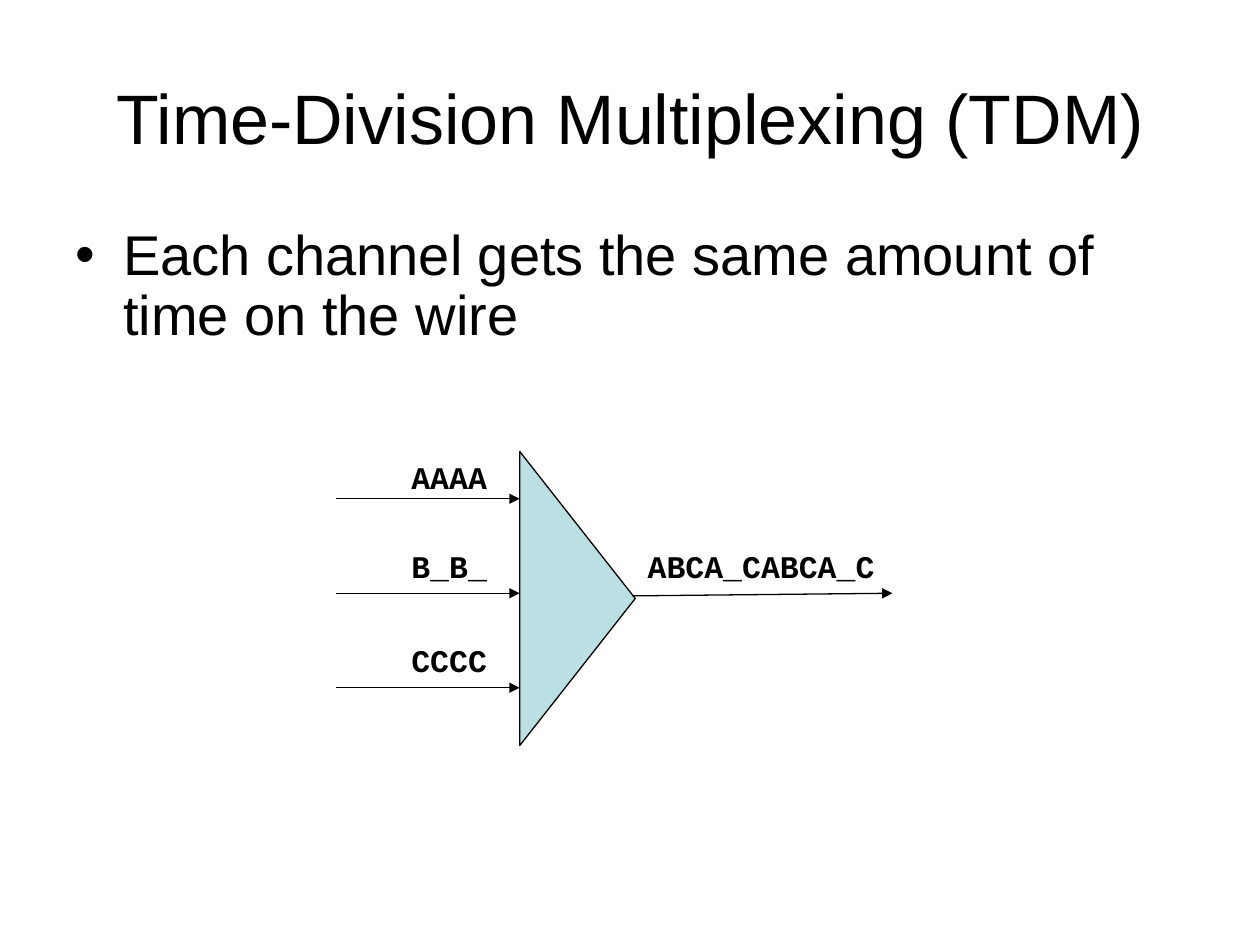
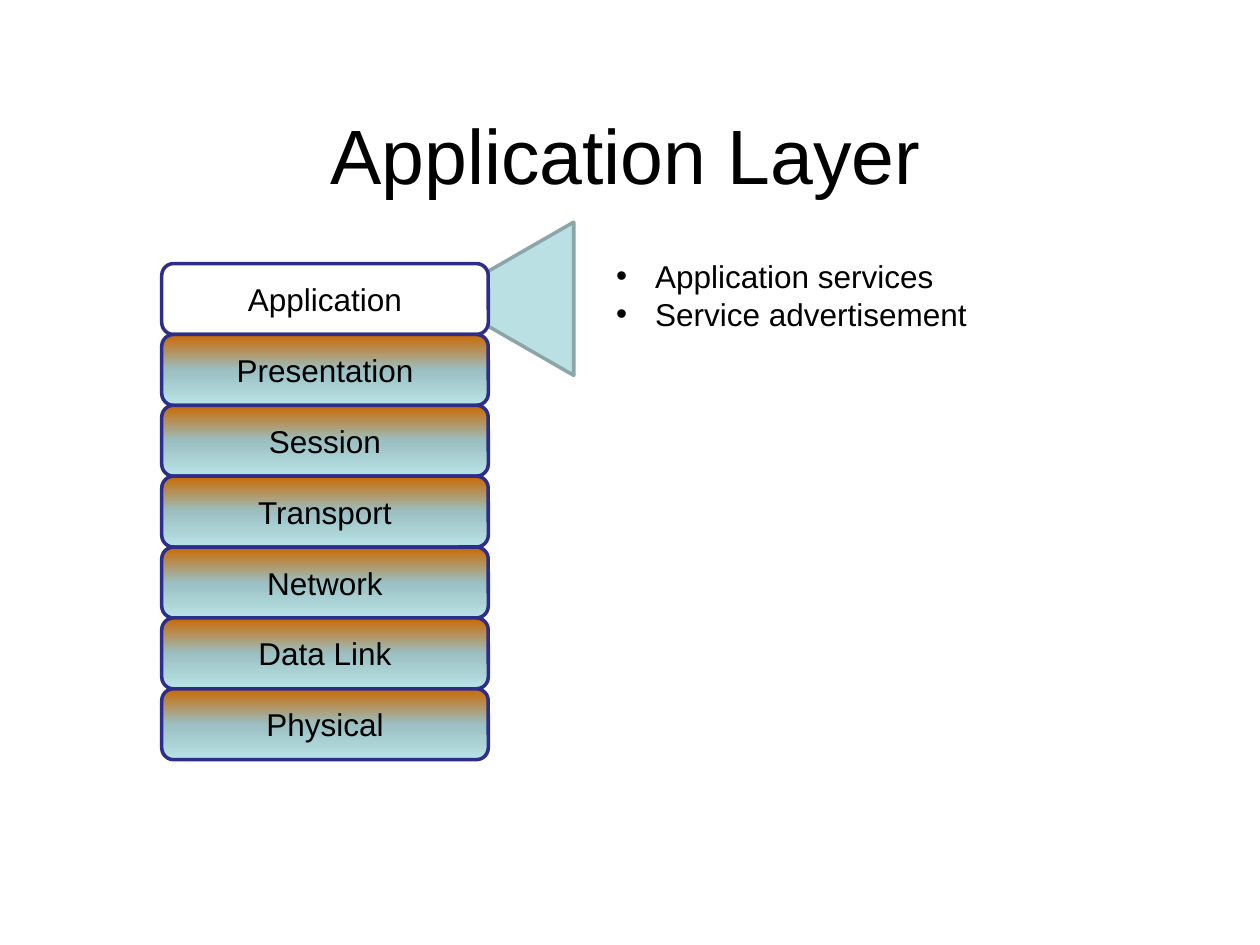
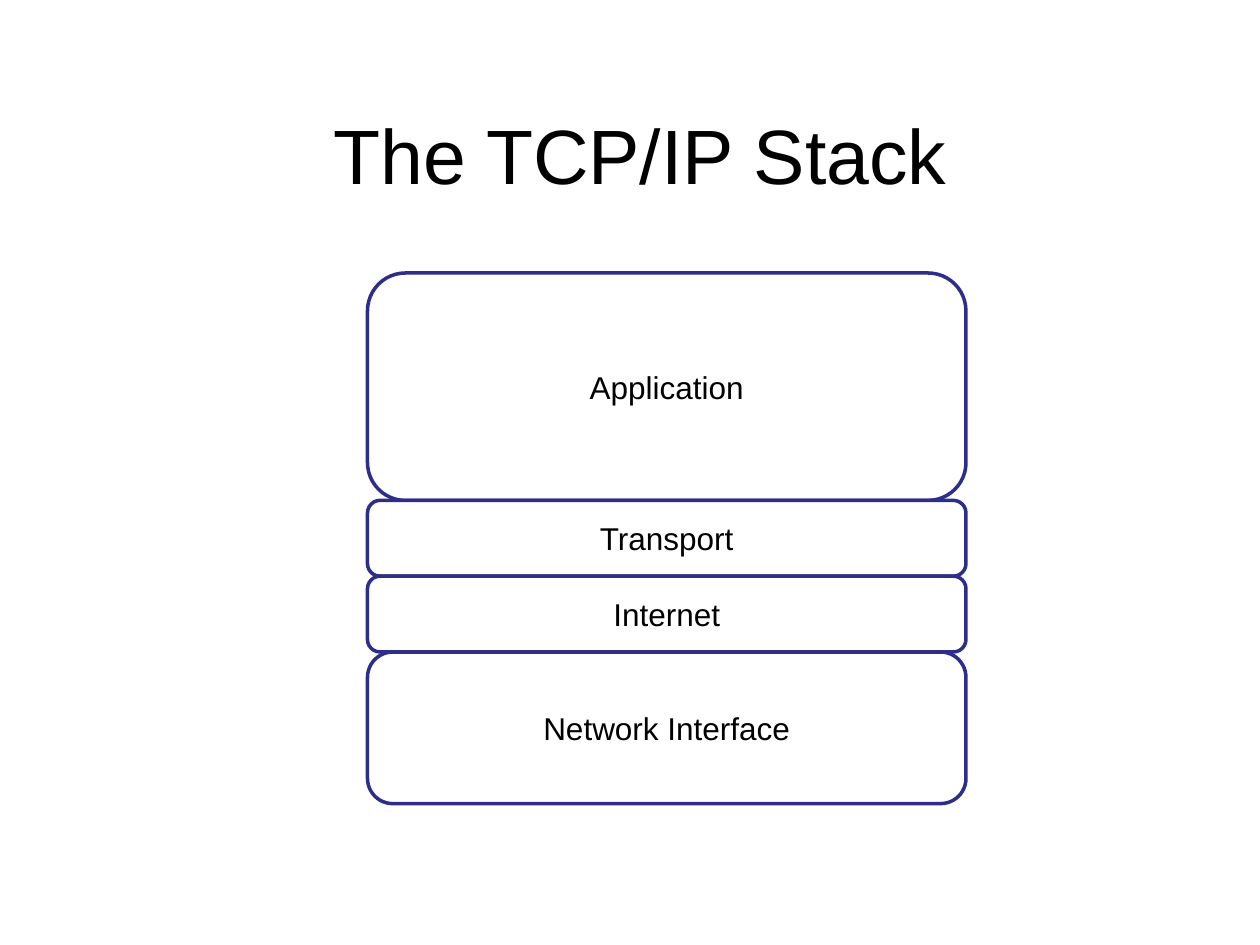
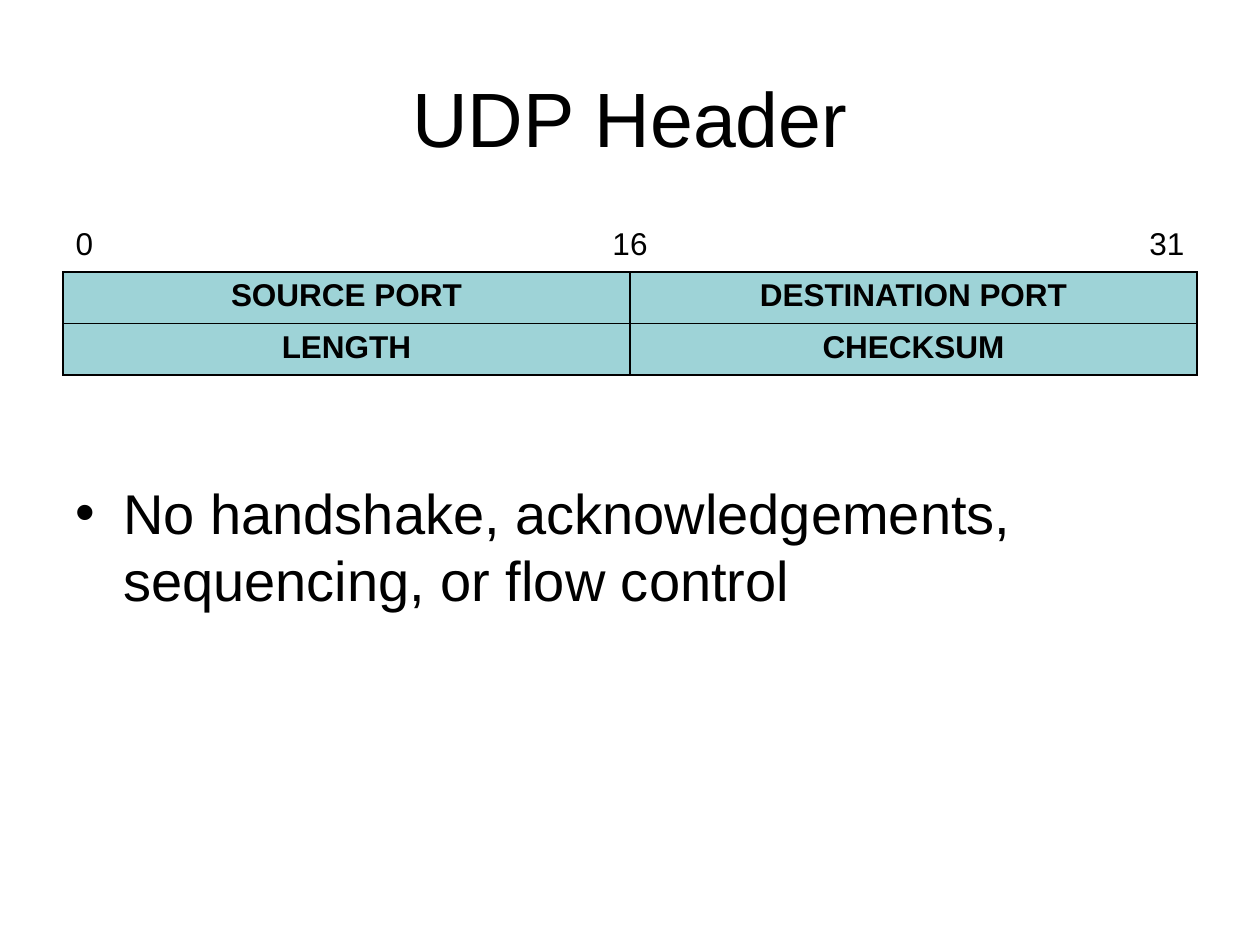
from copy import deepcopy

from lxml.etree import SubElement
from pptx import Presentation
from pptx.dml.color import RGBColor
from pptx.enum.shapes import MSO_CONNECTOR as Connector, MSO_SHAPE as Shape
from pptx.enum.text import MSO_ANCHOR as Anchor, PP_ALIGN as Align
from pptx.oxml.ns import qn
from pptx.util import Inches, Pt

COLUMNS, ROWS = 120, 90
BLACK, WHITE = "000000", "FFFFFF"
PALE_TEAL, TABLE_TEAL = "BBE0E3", "9ED3D7"
TEAL_EDGE, NAVY = "8AA6A8", "2D2D8A"
LAYER_GRADIENT = [(0, "CA6800"), (0.5, "9BBFC2"), (1, "B8E3E6")]
BODY_INDENT, LIST_INDENT = Inches(0.38), Inches(0.31)


def color(value):
    return RGBColor.from_string(value)


class Deck:
    font = "Arial"
    code_font = "Courier New"
    text_size = 18

    def __init__(self):
        self.presentation = Presentation()
        self.presentation.slide_width = Inches(10)
        self.presentation.slide_height = Inches(7.5)
        self.slide = None

    def box(self, left, top, width, height):
        column = self.presentation.slide_width / COLUMNS
        row = self.presentation.slide_height / ROWS
        return (round(left * column), round(top * row),
                round(width * column), round(height * row))

    def new_slide(self, title, left=6, top=3.6, height=15, size=44):
        self.slide = self.presentation.slides.add_slide(self.presentation.slide_layouts[6])
        frame = self.text((left, top, 108, height), [title], size=size, align=Align.CENTER)
        frame.vertical_anchor = Anchor.MIDDLE

    def style(self, paragraph, size=None, font=None, bold=False, align=Align.LEFT):
        paragraph.alignment = align
        paragraph.font.name = font or self.font
        paragraph.font.size = Pt(size or self.text_size)
        paragraph.font.bold = bold
        paragraph.font.color.rgb = color(BLACK)

    def text(self, area, lines, **style):
        frame = self.slide.shapes.add_textbox(*self.box(*area)).text_frame
        frame.word_wrap = True
        frame.text = "\n".join(lines)
        for paragraph in frame.paragraphs:
            self.style(paragraph, **style)
        return frame

    def code(self, left, top, width, label):
        self.text((left, top, width, 4.8), [label], font=self.code_font, bold=True)

    def bullets(self, area, lines, size=32, indent=BODY_INDENT, spacing=None):
        for paragraph in self.text(area, lines, size=size).paragraphs:
            paragraph.line_spacing = spacing
            properties = paragraph._p.get_or_add_pPr()
            properties.set("marL", str(indent))
            properties.set("indent", str(-indent))
            bullet_font = SubElement(properties, qn("a:buFont"))
            bullet_font.set("typeface", self.font)
            SubElement(properties, qn("a:buChar")).set("char", "•")
            properties.append(properties.find(qn("a:buChar")))

    def shape(self, kind, area, fill, line, width, rotation=0):
        shape = self.slide.shapes.add_shape(kind, *self.box(*area))
        shape.shadow.inherit = False
        shape.rotation = rotation
        shape.line.color.rgb = color(line)
        shape.line.width = Pt(width)
        if isinstance(fill, list):
            self.gradient(shape, fill)
        else:
            shape.fill.solid()
            shape.fill.fore_color.rgb = color(fill)
        return shape

    def gradient(self, shape, stops):
        shape.fill.gradient()
        shape.fill.gradient_angle = 270
        stop_list = shape._element.spPr.find(qn("a:gradFill")).find(qn("a:gsLst"))
        stop_list.insert(1, deepcopy(stop_list[0]))
        for stop, (position, value) in zip(shape.fill.gradient_stops, stops):
            stop.position = position
            stop.color.rgb = color(value)

    def layer_stack(self, left, top, width, unit, layers):
        for name, units, fill in layers:
            layer = self.shape(Shape.ROUNDED_RECTANGLE, (left, top, width, units * unit),
                               fill, NAVY, 2)
            layer.text_frame.text = name
            layer.text_frame.vertical_anchor = Anchor.MIDDLE
            self.style(layer.text_frame.paragraphs[0], align=Align.CENTER)
            top += units * unit

    def arrow(self, left, top, right, bottom):
        connector = self.slide.shapes.add_connector(
            Connector.STRAIGHT, *self.box(left, top, right, bottom))
        connector.line.color.rgb = color(BLACK)
        connector.line.width = Pt(0.75)
        properties = connector._element.spPr
        SubElement(properties.find(qn("a:ln")), qn("a:tailEnd")).set("type", "triangle")
        SubElement(properties, qn("a:effectLst"))

    def borders(self, cell, visible):
        properties = cell._tc.get_or_add_tcPr()
        for index, side in enumerate("LRTB"):
            line = SubElement(properties, qn(f"a:ln{side}"), w=str(Pt(1)))
            if side in visible:
                fill = SubElement(line, qn("a:solidFill"))
                SubElement(fill, qn("a:srgbClr"), val=BLACK)
            else:
                SubElement(line, qn("a:noFill"))
            properties.insert(index, line)

    def header_table(self, area, shares, bits, fields):
        rows = len(fields) + 1
        left, top, width, height = self.box(*area)
        table = self.slide.shapes.add_table(rows, len(shares), left, top, width, height).table
        table.first_row = table.horz_banding = False
        for column, share in zip(table.columns, shares):
            column.width = round(width * share)
        for row in table.rows:
            row.height = round(height / rows)
        for index, cell in enumerate(table.iter_cells()):
            if index < len(shares):
                cell.fill.background()
                self.borders(cell, "B")
            else:
                cell.fill.solid()
                cell.fill.fore_color.rgb = color(TABLE_TEAL)
                self.borders(cell, "LRTB")
        self.merged_row(table, 0, bits)
        for row, names in enumerate(fields, 1):
            self.merged_row(table, row, [(name, 2, Align.CENTER) for name in names], bold=True)

    def merged_row(self, table, row, entries, bold=False):
        column = 0
        for label, span, align in entries:
            cell = table.cell(row, column)
            if span > 1:
                cell.merge(table.cell(row, column + span - 1))
            cell.text = label
            self.style(cell.text_frame.paragraphs[0], bold=bold, align=align)
            column += span


def multiplexing_slide(deck):
    deck.new_slide("Time-Division Multiplexing (TDM)", size=40)
    deck.bullets((6, 21, 108, 13), ["Each channel gets the same amount of time on the wire"],
                 spacing=0.9)
    deck.shape(Shape.ISOSCELES_TRIANGLE, (41, 51.5, 28, 11), PALE_TEAL, BLACK, 0.75, rotation=90)
    for index, channel in enumerate(["AAAA", "B_B_", "CCCC"]):
        wire = 47.5 + 9 * index
        deck.arrow(32, wire, 49.5, wire)
        deck.code(38, wire - (4.5 if index == 0 else 5), 11.5, channel)
    deck.code(60.5, 51.5, 25, "ABCA_CABCA_C")
    deck.arrow(60.25, 56.75, 85, 56.5)


def application_slide(deck):
    deck.new_slide("Application Layer", left=5.6, top=8.6, height=12)
    deck.shape(Shape.ISOSCELES_TRIANGLE, (41, 22.1, 14.6, 12.7), PALE_TEAL, TEAL_EDGE, 2,
               rotation=270)
    lower_layers = ["Presentation", "Session", "Transport", "Network", "Data Link", "Physical"]
    layers = [("Application", 1, WHITE)]
    layers += [(name, 1, LAYER_GRADIENT) for name in lower_layers]
    deck.layer_stack(15.4, 25.1, 31.1, 6.75, layers)
    deck.bullets((57.5, 23.9, 39, 8.5), ["Application services", "Service advertisement"],
                 size=18, indent=LIST_INDENT)


def stack_slide(deck):
    deck.new_slide("The TCP/IP Stack", left=7, top=8.6, height=12)
    deck.layer_stack(35, 26, 57, 7.22, [
        ("Application", 3, WHITE), ("Transport", 1, WHITE),
        ("Internet", 1, WHITE), ("Network Interface", 2, WHITE)])


def udp_slide(deck):
    deck.new_slide("UDP Header")
    deck.header_table((6, 21, 108, 14.7), [1 / 6, 1 / 3, 1 / 3, 1 / 6],
                      [("0", 1, Align.LEFT), ("16", 2, Align.CENTER), ("31", 1, Align.RIGHT)],
                      [("SOURCE PORT", "DESTINATION PORT"), ("LENGTH", "CHECKSUM")])
    deck.bullets((6, 45, 108, 35.4),
                 ["No handshake, acknowledgements, sequencing, or flow control"])


def main():
    deck = Deck()
    for build in (multiplexing_slide, application_slide, stack_slide, udp_slide):
        build(deck)
    deck.presentation.save("out.pptx")


if __name__ == "__main__":
    main()
